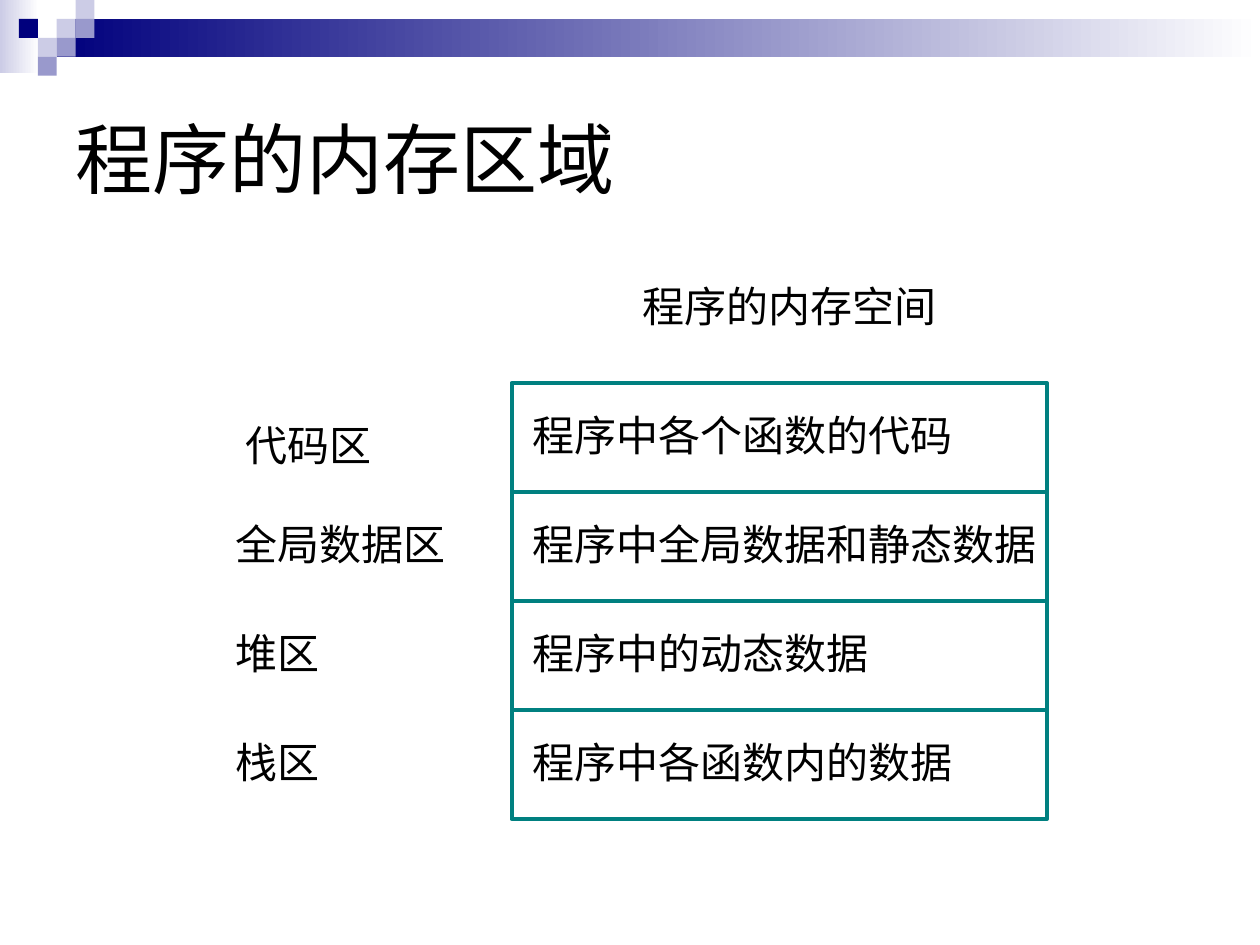
from pptx import Presentation
from pptx.dml.color import RGBColor
from pptx.enum.shapes import MSO_SHAPE
from pptx.enum.text import MSO_ANCHOR, PP_ALIGN
from pptx.util import Inches, Pt

NAVY = RGBColor(0x00, 0x00, 0x7D)
LAVENDER = RGBColor(0xCC, 0xCC, 0xE6)
PERIWINKLE = RGBColor(0x99, 0x99, 0xCC)
TEAL = RGBColor(0x00, 0x80, 0x80)
BLACK = RGBColor(0, 0, 0)
WHITE = RGBColor(0xFF, 0xFF, 0xFF)

TITLE = "程序的内存区域"
HEADING = "程序的内存空间"
# Region name, its left edge and drop within the row, and what it holds
REGIONS = [
    ("代码区", 1.85, 0.24, "程序中各个函数的代码"),
    ("全局数据区", 1.77, 0.16, "程序中全局数据和静态数据"),
    ("堆区", 1.77, 0.16, "程序中的动态数据"),
    ("栈区", 1.77, 0.16, "程序中各函数内的数据"),
]
# Banner: (left, top, width, height, start colour) and (column, row, colour)
BANDS = [(0, 0, 0.31, 0.58, LAVENDER), (0.45, 0.15, 9.55, 0.3, NAVY)]
TILE = 0.15
TILES = [
    (3, 1, LAVENDER), (4, 0, LAVENDER), (4, 1, PERIWINKLE), (2, 2, LAVENDER),
    (1, 1, NAVY), (3, 2, PERIWINKLE), (2, 3, PERIWINKLE),
]
MEMORY_LEFT, MEMORY_TOP, MEMORY_WIDTH = 4.06, 3.04, 4.25
ROW_HEIGHT = 0.865
CONTENT_LEFT, CONTENT_DROP = 4.13, 0.16


def add_rectangle(page, left, top, width, height):
    box = page.shapes.add_shape(MSO_SHAPE.RECTANGLE, Inches(left), Inches(top),
                                Inches(width), Inches(height))
    box.shadow.inherit = False
    return box


def format_text(frame, text, size):
    frame.text = text
    frame.word_wrap = True
    paragraph = frame.paragraphs[0]
    paragraph.alignment = PP_ALIGN.LEFT
    font = paragraph.runs[0].font
    font.name, font.size, font.color.rgb = "Arial", Pt(size), BLACK


def add_label(page, text, left, top, width):
    box = page.shapes.add_textbox(Inches(left), Inches(top), Inches(width), Inches(0.5))
    format_text(box.text_frame, text, 24)


deck = Presentation()
deck.slide_width, deck.slide_height = Inches(10), Inches(7.5)
page = deck.slides.add_slide(deck.slide_layouts[5])

# Banner gradients and tiles
for left, top, width, height, colour in BANDS:
    band = add_rectangle(page, left, top, width, height)
    band.line.fill.background()
    band.fill.gradient()
    band.fill.gradient_angle = 0
    for stop, position, shade in zip(band.fill.gradient_stops, (0, 1), (colour, WHITE)):
        stop.position, stop.color.rgb = position, shade
for column, row, colour in TILES:
    tile = add_rectangle(page, column * TILE, row * TILE, TILE, TILE)
    tile.line.fill.background()
    tile.fill.solid()
    tile.fill.fore_color.rgb = colour

# Title
title = page.shapes.title
title.left, title.top = Inches(0.5), Inches(0.5)
title.width, title.height = Inches(9), Inches(1.5)
title.text_frame.vertical_anchor = MSO_ANCHOR.MIDDLE
format_text(title.text_frame, TITLE, 44)

# Memory regions
add_label(page, HEADING, 5, 2.18, 2.68)
for index, (name, name_left, name_drop, content) in enumerate(REGIONS):
    top = MEMORY_TOP + index * ROW_HEIGHT
    cell = add_rectangle(page, MEMORY_LEFT, top, MEMORY_WIDTH, ROW_HEIGHT)
    cell.fill.background()
    cell.line.color.rgb, cell.line.width = TEAL, Pt(2.25)
    add_label(page, name, name_left, top + name_drop, 2.2)
    add_label(page, content, CONTENT_LEFT, top + CONTENT_DROP, MEMORY_WIDTH)

deck.save("out.pptx")
